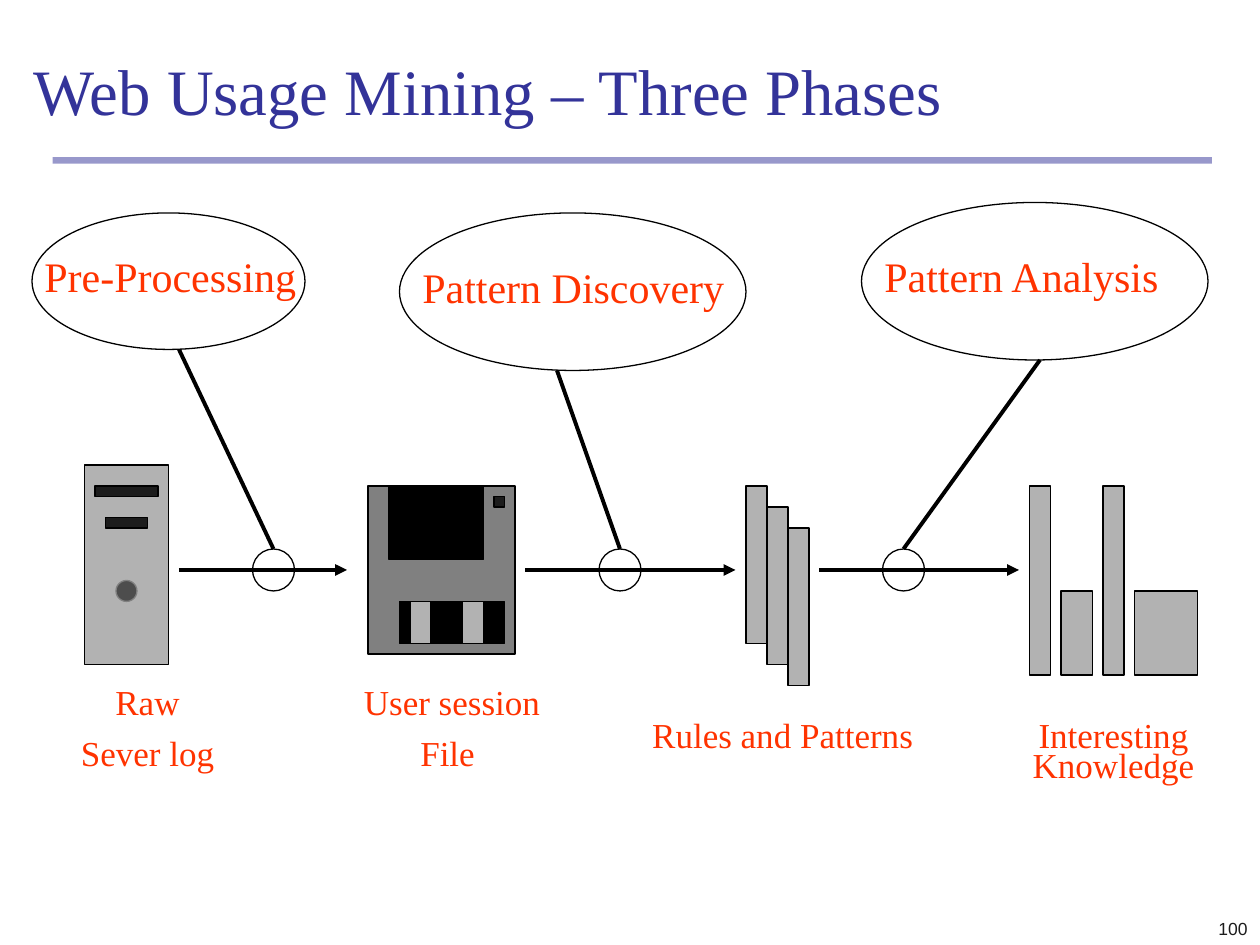
import pptx
import pptx.util
import pptx.dml.color
import pptx.enum.shapes
import pptx.enum.text
import pptx.oxml.ns
import lxml.etree

Cm, Pt = pptx.util.Cm, pptx.util.Pt
RGB = pptx.dml.color.RGBColor.from_string
Kind = pptx.enum.shapes.MSO_SHAPE
Link = pptx.enum.shapes.MSO_CONNECTOR
Align = pptx.enum.text.PP_ALIGN
Anchor = pptx.enum.text.MSO_ANCHOR
Fit = pptx.enum.text.MSO_AUTO_SIZE

TINT = {"navy": "333399", "red": "FF3300", "ink": "1C1C1C", "black": "000000",
        "light": "B2B2B2", "mid": "808080", "dark": "4D4D4D"}

TITLE = "Web Usage Mining – Three Phases"
NUMBER = "100"

TOWER = [(8, 44, 8, 19, "light"), (9, 46, 6, 1, "ink"), (10, 49, 4, 1, "ink")]
DISK = [(35, 46, 14, 16, "mid"), (37, 46, 9, 7, "black"), (38, 57, 10, 4, "black"),
        (39, 57, 2, 4, "light"), (44, 57, 2, 4, "light"), (47, 47, 1, 1, "ink")]
PAGES = [(71 + 2 * i, 46 + 2 * i, 2, 15, "light") for i in range(3)]
BARS = [(x, 64 - h, w, h, "light")
        for x, w, h in [(98, 2, 18), (101, 3, 8), (105, 2, 18), (108, 6, 8)]]
BUTTON = (11, 55, 2, 2)

PHASES = [
    {"text": "Pre-Processing", "oval": (3, 20, 26, 13), "label": (3, 23, 26.4, 6),
     "stem": (17, 33), "ring": 24, "arrow": (17, 33)},
    {"text": "Pattern Discovery", "oval": (38, 20, 33, 15), "label": (39, 24, 31.2, 6),
     "stem": (53, 35), "ring": 57, "arrow": (50, 70)},
    {"text": "Pattern Analysis", "oval": (82, 19, 33, 15), "label": (83, 23, 28.7, 6),
     "stem": (99, 34), "ring": 84, "arrow": (78, 97)},
]
NOTES = [
    (["Raw", "Sever log"], (3, 65, 22, 8.9)),
    (["User session", "File "], (32, 65, 22, 8.9)),
    (["Rules and Patterns"], (59, 68.2, 31, 4.1)),
    (["Interesting Knowledge"], (95, 68.2, 22, 6.8)),
]

UNIT = 2.54 / 12
AXIS = 54
RING = 4


def spot(x, y):
    return Cm(x * UNIT + 0.01), Cm(y * UNIT + 0.06)


def area(x, y, w, h):
    return *spot(x, y), Cm(w * UNIT), Cm(h * UNIT)


def apply(item, values):
    for key, value in values.items():
        setattr(item, key, value)


def form(kind, box, fill=None, line="black"):
    item = slide.shapes.add_shape(kind, *box)
    item.shadow.inherit = False
    if fill:
        item.fill.solid()
        item.fill.fore_color.rgb = RGB(TINT[fill])
    else:
        item.fill.background()
    if line:
        item.line.color.rgb = RGB(TINT[line])
        item.line.width = Pt(0.75)
    else:
        item.line.fill.background()
    return item


def link(start, end, arrow=False):
    item = slide.shapes.add_connector(Link.STRAIGHT, *start, *end)
    item.line.color.rgb = RGB(TINT["black"])
    item.line.width = Pt(2.25)
    props = item._element.spPr
    if arrow:
        head = lxml.etree.SubElement(item.line._get_or_add_ln(),
                                     pptx.oxml.ns.qn("a:tailEnd"))
        head.set("type", "triangle")
    lxml.etree.SubElement(props, pptx.oxml.ns.qn("a:effectLst"))
    return item


def write(item, lines, size, tint, face="Times New Roman", frame=None, para=None, gap=0):
    text = item.text_frame
    apply(text, {"word_wrap": True, "auto_size": Fit.NONE, **(frame or {})})
    for i, line in enumerate(lines):
        part = text.add_paragraph() if i else text.paragraphs[0]
        part.text = line
        apply(part, {"space_before": Pt(gap if i else 0), **(para or {})})
        apply(part.font, {"size": Pt(size), "name": face})
        part.font.color.rgb = RGB(TINT[tint])


deck = pptx.Presentation()
apply(deck, {"slide_width": Cm(25.4), "slide_height": Cm(19.05)})
slide = deck.slides.add_slide(deck.slide_layouts[5])

rule = form(Kind.RECTANGLE, (Cm(1.06), Cm(3.17), Cm(23.37), Cm(0.13)), "navy", None)
shade = rule._element.spPr.find(".//" + pptx.oxml.ns.qn("a:srgbClr"))
lxml.etree.SubElement(shade, pptx.oxml.ns.qn("a:alpha")).set("val", "50000")

title = slide.shapes.title
apply(title, {"left": Cm(0.43), "top": Cm(0.84), "width": Cm(23.06), "height": Cm(1.9)})
write(title, [TITLE], 37, "navy", frame={"vertical_anchor": Anchor.BOTTOM},
      para={"alignment": Align.LEFT, "line_spacing": 0.9})

page = slide.shapes.add_textbox(Cm(20.12), Cm(17.78), Cm(5.28), Cm(1.27))
write(page, [NUMBER], 10, "ink", "Arial", {"vertical_anchor": Anchor.BOTTOM},
      {"alignment": Align.RIGHT})

for *box, fill in TOWER + DISK + PAGES + BARS:
    form(Kind.RECTANGLE, area(*box), fill)
form(Kind.OVAL, area(*BUTTON), "dark", "mid")

for phase in PHASES:
    start, end = phase["arrow"]
    link(spot(start, AXIS), spot(end, AXIS), True)
    ring = form(Kind.OVAL, area(phase["ring"], AXIS - RING / 2, RING, RING))
    form(Kind.OVAL, area(*phase["oval"]))
    label = slide.shapes.add_textbox(*area(*phase["label"]))
    write(label, [phase["text"]], 24, "red",
          frame={"word_wrap": False, "auto_size": Fit.SHAPE_TO_FIT_TEXT})
    stem = link(spot(*phase["stem"]), spot(phase["ring"] + RING / 2, AXIS - RING / 2))
    stem.end_connect(ring, 0)

for lines, box in NOTES:
    note = slide.shapes.add_textbox(*area(*box))
    write(note, lines, 20, "red", frame={"auto_size": Fit.SHAPE_TO_FIT_TEXT},
          para={"alignment": Align.CENTER, "line_spacing": 0.7}, gap=12.5)

deck.save("out.pptx")
